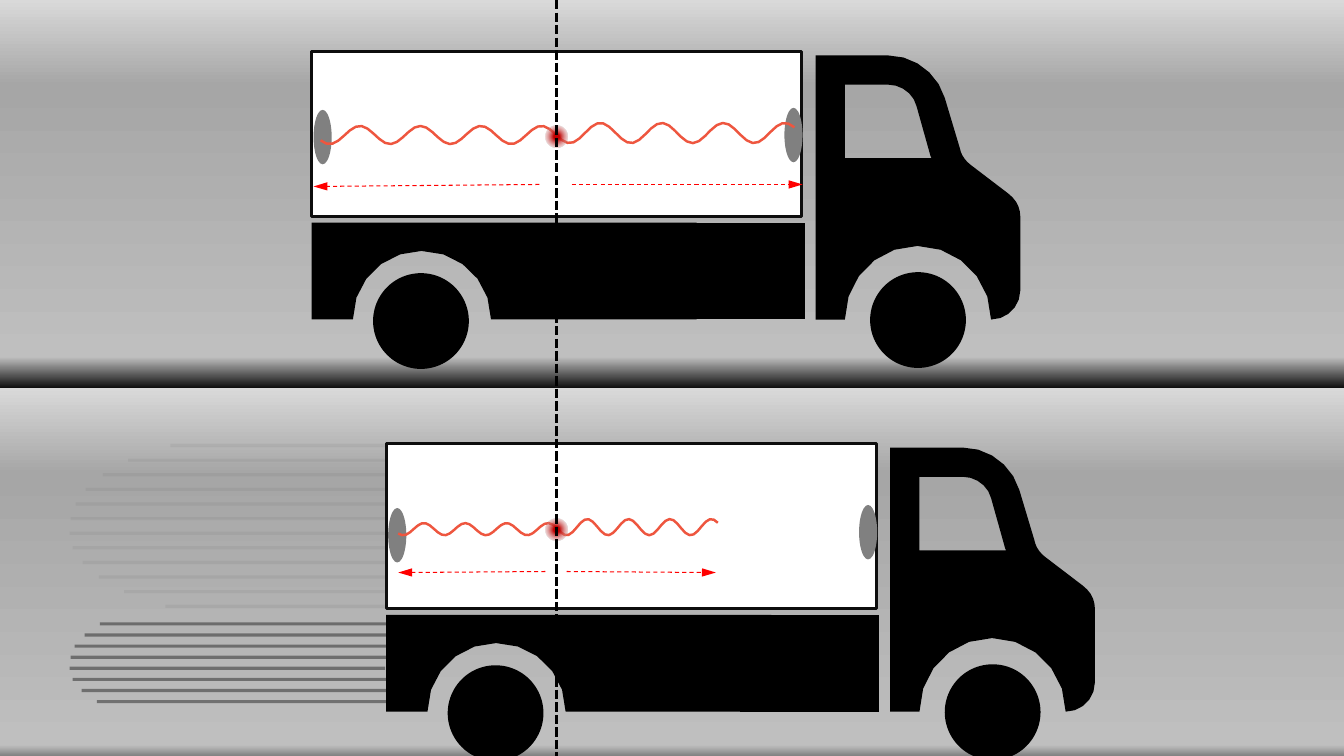
from math import pi, sin

from lxml.etree import SubElement
from pptx import Presentation
from pptx.dml.color import RGBColor
from pptx.enum.dml import MSO_LINE
from pptx.enum.shapes import MSO_CONNECTOR, MSO_SHAPE
from pptx.oxml.ns import qn
from pptx.util import Inches, Pt

COLORS = {
    "truck": "000000", "cargo": "FFFFFF", "border": "0D0D0D",
    "mirror": "808080", "wave": "EE563F", "arrow": "FF0000",
    "axis": "000000", "speed": "262626",
}
PANEL_STOPS = [(0, "D9D9D9", 100), (22, "A6A6A6", 100), (92, "BFBFBF", 100), (100, "0D0D0D", 100)]
GLOW_STOPS = [(0, "C00000", 100), (18, "C00000", 100), (100, "D9D9D9", 0)]
SLIDE_WIDTH, SLIDE_HEIGHT = 13.33, 7.5
PANEL_HEIGHT = 3.85
AXIS_X = 5.52
CURVE_STEPS = 5

presentation = Presentation()
presentation.slide_width = Inches(SLIDE_WIDTH)
presentation.slide_height = Inches(SLIDE_HEIGHT)
slide = presentation.slides.add_slide(presentation.slide_layouts[6])
shapes = slide.shapes


def draw_outline(contours, color, left, top):
    """Fill closed contours; a pair is a corner, six numbers a cubic curve."""
    builder = None
    for start, *segments in contours:
        points = [start]
        for segment in segments:
            if len(segment) == 2:
                points.append(segment)
                continue
            x0, y0 = points[-1]
            x1, y1, x2, y2, x3, y3 = segment
            for step in range(1, CURVE_STEPS + 1):
                t = step / CURVE_STEPS
                a, b, c, d = (1 - t) ** 3, 3 * t * (1 - t) ** 2, 3 * t * t * (1 - t), t ** 3
                points.append((a * x0 + b * x1 + c * x2 + d * x3,
                               a * y0 + b * y1 + c * y2 + d * y3))
        points = [(Inches(left + x), Inches(top + y)) for x, y in points]
        if builder is None:
            builder = shapes.build_freeform(*points[0])
        else:
            builder.move_to(*points[0])
        builder.add_line_segments(points[1:], close=True)
    shape = builder.convert_to_shape()
    shape.fill.solid()
    shape.fill.fore_color.rgb = RGBColor.from_string(color)
    shape.line.fill.background()


def draw_line(start, end, color, width, dash=None, opacity=100, arrow=False):
    connector = shapes.add_connector(
        MSO_CONNECTOR.STRAIGHT, *[Inches(value) for value in (*start, *end)])
    connector.line.color.rgb = RGBColor.from_string(color)
    connector.line.width = Pt(width)
    if dash:
        connector.line.dash_style = dash
    properties = connector._element.spPr
    if opacity < 100:
        SubElement(next(properties.iter(qn("a:srgbClr"))), qn("a:alpha"), val=str(opacity * 1000))
    if arrow:
        SubElement(properties.find(qn("a:ln")), qn("a:tailEnd"), type="triangle", w="med", len="lg")
    SubElement(properties, qn("a:effectLst"))


gradients = []
for row in range(2):
    panel = shapes.add_shape(MSO_SHAPE.RECTANGLE, 0, Inches(row * PANEL_HEIGHT),
                             Inches(SLIDE_WIDTH), Inches(PANEL_HEIGHT))
    gradients.append((panel, PANEL_STOPS))

# Speed lines: first height, gap, length, opacity, left ends
SPEED_BANDS = [
    (4.42, 0.145, 3.4, 5,
     [1.69, 1.27, 1.02, 0.85, 0.75, 0.7, 0.69, 0.72, 0.82, 0.98, 1.23, 1.64]),
    (6.19, 0.11, 3.13, 50, [0.99, 0.84, 0.74, 0.7, 0.69, 0.72, 0.81, 0.96]),
]
for first, gap, length, opacity, lefts in SPEED_BANDS:
    for index, left in enumerate(lefts):
        y = first + index * gap
        draw_line((left, y), (left + length, y), COLORS["speed"], 2.25, opacity=opacity)

# Truck outlines, measured from the top left corner of the cargo box
WINDOW = [(5.29, 0.33), (5.72, 0.33), (5.85, 0.33, 5.97, 0.42, 6, 0.54),
          (6.14, 1.04), (6.15, 1.06), (5.29, 1.06)]
CAB = [(5.72, 0.04), (5, 0.04), (5, 2.66), (5.29, 2.66),
       (5.29, 2.26, 5.61, 1.93, 6.01, 1.93), (6.41, 1.93, 6.74, 2.26, 6.74, 2.66),
       (6.9, 2.66, 7.03, 2.53, 7.03, 2.37), (7.03, 1.64),
       (7.03, 1.55, 6.99, 1.47, 6.91, 1.41), (6.53, 1.12),
       (6.48, 1.08, 6.44, 1.02, 6.43, 0.96), (6.28, 0.46),
       (6.21, 0.22, 5.98, 0.04, 5.72, 0.04)]
REAR_CHASSIS = [(3.82, 2.66), (1.78, 2.66), (1.78, 2.28, 1.47, 1.98, 1.09, 1.98),
                (0.72, 1.98, 0.41, 2.28, 0.41, 2.66), (0, 2.66), (0, 1.7), (3.82, 1.7)]
# The arch of the front piece lies behind the rear piece
FRONT_CHASSIS = [(3.51, 1.7), (4.89, 1.7), (4.89, 2.66), (3.51, 2.66)]

# Waves: start, end, middle height, amplitude, length, place of a trough
# Arrows: start and end
TRUCKS = [
    {"at": (3.83, 4.4), "mirrors": (0.64, 0.61), "glow": 5.15,
     "waves": [(5.52, 7.12, 5.23, 0.08, 0.41, 5.62), (3.95, 5.52, 5.25, 0.06, 0.41, 5.23)],
     "arrows": [((5.41, 5.67), (3.95, 5.68)), ((5.62, 5.67), (7.1, 5.68))]},
    {"at": (3.09, 0.51), "mirrors": (0.58, 0.56), "glow": 1.25,
     "waves": [(5.51, 7.88, 1.32, 0.1, 0.61, 5.65), (3.18, 5.51, 1.34, 0.09, 0.6, 5.07)],
     "arrows": [((5.35, 1.83), (3.11, 1.85)), ((5.67, 1.83), (7.96, 1.83))]},
]
WAVE_STEPS = 40
GLOW_SIZE = 0.21

for truck in TRUCKS:
    left, top = truck["at"]
    rear_mirror, front_mirror = truck["mirrors"]
    parts = [
        (MSO_SHAPE.OVAL, 0.61, 2.2, 0.95, 0.95, "truck"),
        (MSO_SHAPE.OVAL, 5.54, 2.19, 0.95, 0.95, "truck"),
        (MSO_SHAPE.RECTANGLE, 0, 0, 4.86, 1.64, "cargo"),
        (MSO_SHAPE.OVAL, 0.02, rear_mirror, 0.18, 0.54, "mirror"),
        (MSO_SHAPE.OVAL, 4.69, front_mirror, 0.18, 0.54, "mirror"),
    ]
    for kind, x, y, width, height, color in parts:
        part = shapes.add_shape(kind, Inches(left + x), Inches(top + y),
                                Inches(width), Inches(height))
        part.fill.solid()
        part.fill.fore_color.rgb = RGBColor.from_string(COLORS[color])
        if color == "cargo":
            part.line.color.rgb = RGBColor.from_string(COLORS["border"])
            part.line.width = Pt(2.25)
        else:
            part.line.fill.background()
    for contours in ([WINDOW, CAB], [REAR_CHASSIS], [FRONT_CHASSIS]):
        draw_outline(contours, COLORS["truck"], left, top)

    for start, end, middle, amplitude, length, trough in truck["waves"]:
        points = []
        for step in range(WAVE_STEPS + 1):
            x = start + (end - start) * step / WAVE_STEPS
            phase = 2 * pi * (x - trough) / length + pi / 2
            points.append((Inches(x), Inches(middle + amplitude * sin(phase))))
        builder = shapes.build_freeform(*points[0])
        builder.add_line_segments(points[1:], close=False)
        wave = builder.convert_to_shape()
        wave.fill.background()
        wave.line.color.rgb = RGBColor.from_string(COLORS["wave"])
        wave.line.width = Pt(1.75)

    glow = shapes.add_shape(MSO_SHAPE.OVAL, Inches(AXIS_X - GLOW_SIZE / 2), Inches(truck["glow"]),
                            Inches(GLOW_SIZE), Inches(GLOW_SIZE))
    gradients.append((glow, GLOW_STOPS))
    for start, end in truck["arrows"]:
        draw_line(start, end, COLORS["arrow"], 0.75, MSO_LINE.DASH, arrow=True)

draw_line((AXIS_X, 0), (AXIS_X, SLIDE_HEIGHT), COLORS["axis"], 2.25, MSO_LINE.SQUARE_DOT)

for shape, stops in gradients:
    shape.line.fill.background()
    shape.fill.gradient()
    gradient = shape._element.spPr.find(qn("a:gradFill"))
    for child in list(gradient):
        gradient.remove(child)
    stop_list = SubElement(gradient, qn("a:gsLst"))
    for position, color, opacity in stops:
        stop = SubElement(stop_list, qn("a:gs"), pos=str(position * 1000))
        tone = SubElement(stop, qn("a:srgbClr"), val=color)
        if opacity < 100:
            SubElement(tone, qn("a:alpha"), val=str(opacity * 1000))
    if stops is GLOW_STOPS:
        radial = SubElement(gradient, qn("a:path"), path="circle")
        SubElement(radial, qn("a:fillToRect"), l="50000", t="50000", r="50000", b="50000")
    else:
        SubElement(gradient, qn("a:lin"), ang="5400000", scaled="0")

for shape in shapes:
    if shape._element.tag == qn("p:sp"):
        shape.shadow.inherit = False

presentation.save("out.pptx")
